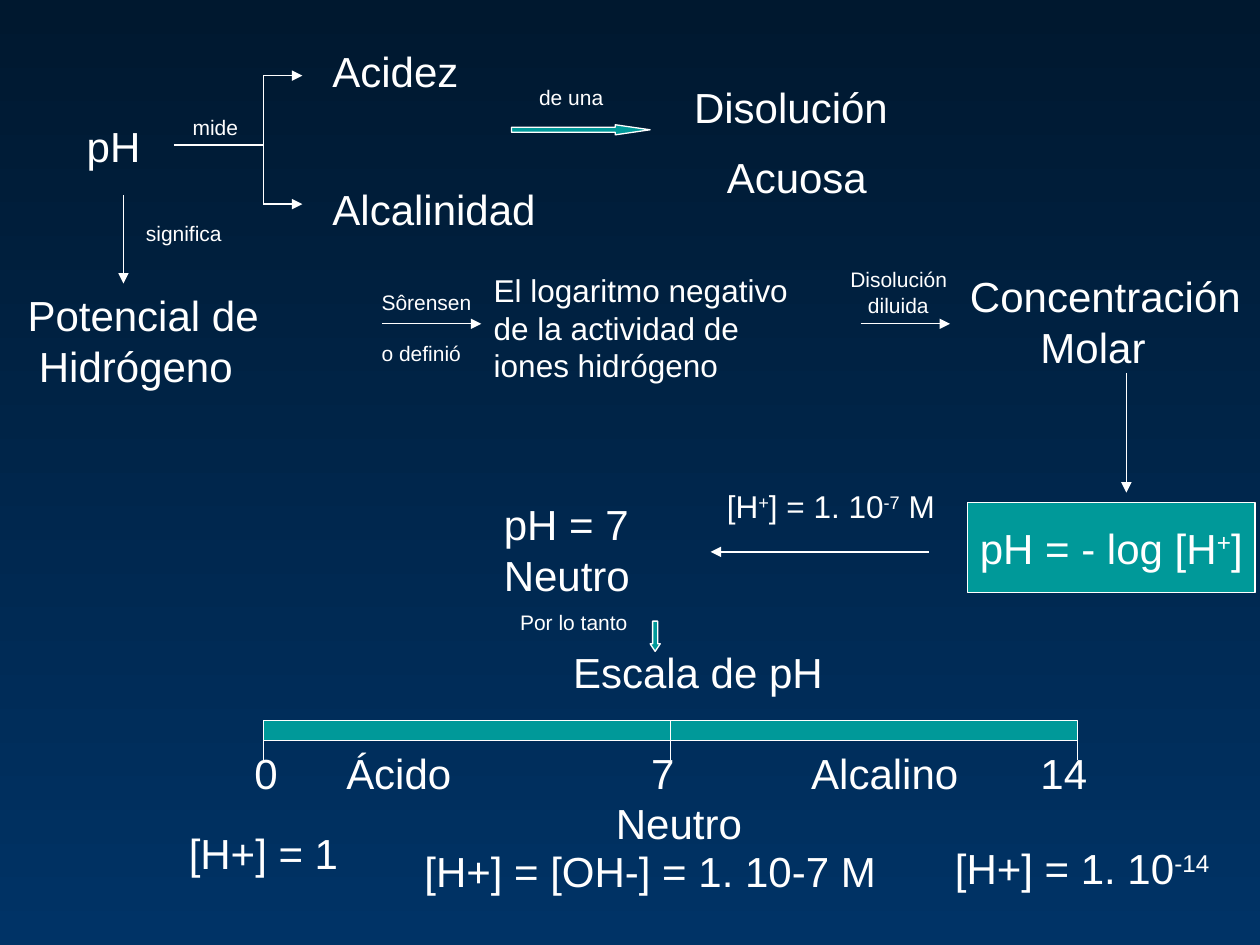
from lxml.etree import SubElement
from pptx import Presentation
from pptx.dml.color import RGBColor
from pptx.enum.shapes import MSO_CONNECTOR, MSO_SHAPE
from pptx.enum.text import MSO_ANCHOR, PP_ALIGN
from pptx.oxml.ns import qn
from pptx.util import Inches, Pt

COLORS = {"night": "00182F", "navy": "003366", "teal": "009999", "white": "FFFFFF"}
FONT = "Arial"
COLUMNS, ROWS = 10, 7.5
CELL = Inches(1)
BIG, MEDIUM, SMALL = 24, 18, 12

# column, row, columns wide, size, lines with ^raised^ parts, space between in points, later indent
LABELS = [
    (0.59, 0.91, 0.8, BIG, ["pH"], 0, 0),
    (1.43, 0.86, 0.65, SMALL, ["mide"], 0, 0),
    (2.54, 0.31, 1.4, BIG, ["Acidez"], 0, 0),
    (2.54, 1.41, 1.95, BIG, ["Alcalinidad"], 0, 0),
    (4.18, 0.62, 0.85, SMALL, ["de una"], 0, 0),
    (5.41, 0.6, 1.95, BIG, ["Disolución", "Acuosa"], 11.2, 0.26),
    (1.06, 1.7, 0.9, SMALL, ["significa"], 0, 0),
    (0.12, 2.25, 2.15, BIG, ["Potencial de", "Hidrógeno"], 0, 0.09),
    (2.93, 2.25, 1.12, SMALL, ["Sôrensen", "o definió"], 14.4, 0),
    (3.82, 2.1, 2.75, MEDIUM,
     ["El logaritmo negativo", "de la actividad de", "iones hidrógeno"], 0, 0),
    (6.65, 2.07, 1.05, SMALL, ["Disolución", "diluida"], 0, 0.14),
    (7.6, 2.1, 2.4, BIG, ["Concentración", "Molar"], 0, 0.56),
    (5.67, 3.82, 1.95, MEDIUM, ["[H^+^] = 1. 10^-7^ M"], 0, 0),
    (3.9, 3.91, 1.75, BIG, ["pH = 7", "Neutro"], 0, 0),
    (4.03, 4.79, 1.1, SMALL, ["Por lo tanto"], 0, 0),
    (4.45, 5.08, 2.3, BIG, ["Escala de pH"], 0, 0),
    (4.79, 6.28, 1.3, BIG, ["Neutro"], 0, 0),
    (3.27, 6.66, 3.94, BIG, ["[H+] = [OH-] = 1. 10-7 M"], 0, 0),
    (1.4, 6.52, 1.5, BIG, ["[H+] = 1"], 0, 0),
    (7.48, 6.64, 2.35, BIG, ["[H+] = 1. 10^-14^"], 0, 0),
]
SCALE_ROW = 5.88
SCALE_MARKS = [("0", 1.92), ("Ácido", 2.65), ("7", 5.07), ("Alcalino", 6.34), ("14", 8.16)]
SCALE_BAR = (2.09, 5.72, 6.46, 0.16)
TICK = 0.31
FORMULA, FORMULA_AREA = "pH = - log [H^+^]", (7.68, 3.99, 2.28, 0.71)
BLOCK_ARROWS = [
    (MSO_SHAPE.RIGHT_ARROW, (4.06, 0.99, 1.1, 0.08), 3.45),
    (MSO_SHAPE.DOWN_ARROW, (5.16, 4.93, 0.08, 0.24), 0.75),
]
STEMS = [(1.38, 1.15, 2.09, 1.15), (2.09, 0.6, 2.09, 1.62)]
ARROWS = [
    (2.09, 0.6, 2.4, 0.6),
    (2.09, 1.62, 2.4, 1.62),
    (0.98, 1.55, 0.98, 2.25),
    (3.03, 2.57, 3.82, 2.57),
    (6.83, 2.57, 7.54, 2.57),
    (8.94, 2.96, 8.94, 3.91),
    (7.37, 4.38, 5.64, 4.38),
]


def color(name):
    return RGBColor.from_string(COLORS[name])


def grid(*lengths):
    return [round(length * CELL) for length in lengths]


def write(paragraph, line, size):
    for position, part in enumerate(line.split("^")):
        if not part:
            continue
        run = paragraph.add_run()
        run.text = part
        run.font.name, run.font.size = FONT, Pt(size)
        run.font.color.rgb = color("white")
        if position % 2:
            run.font._element.set("baseline", "30000")


def add_label(slide, column, row, width, size, lines, gap=0, indent=0):
    height = 0.1 + (len(lines) * size * 1.2 + (len(lines) - 1) * gap) / 72
    frame = slide.shapes.add_textbox(*grid(column, row, width, height)).text_frame
    frame.word_wrap = True
    for number, line in enumerate(lines):
        paragraph = frame.add_paragraph() if number else frame.paragraphs[0]
        if number:
            paragraph.space_before = Pt(gap)
            paragraph._p.get_or_add_pPr().set("marL", str(Inches(indent)))
        write(paragraph, line, size)


def add_block(slide, kind, area):
    block = slide.shapes.add_shape(kind, *grid(*area))
    block.shadow.inherit = False
    block.fill.solid()
    block.fill.fore_color.rgb = color("teal")
    block.line.color.rgb = color("white")
    block.line.width = Pt(0.75)
    return block


def add_line(slide, ends, arrow=False):
    line = slide.shapes.add_connector(MSO_CONNECTOR.STRAIGHT, *grid(*ends))
    line.line.color.rgb = color("white")
    line.line.width = Pt(0.75)
    if arrow:
        SubElement(line.line._get_or_add_ln(), qn("a:tailEnd"), type="triangle")
    SubElement(line._element.spPr, qn("a:effectLst"))
    return line


def main():
    deck = Presentation()
    deck.slide_width, deck.slide_height = grid(COLUMNS, ROWS)
    slide = deck.slides.add_slide(deck.slide_layouts[6])
    backdrop = slide.background.fill
    backdrop.gradient()
    backdrop.gradient_angle = 270
    for stop, name in zip(backdrop.gradient_stops, ("night", "navy")):
        stop.color.rgb = color(name)

    for stem in STEMS:
        add_line(slide, stem)
    for arrow in ARROWS:
        add_line(slide, arrow, arrow=True)
    for kind, area, head in BLOCK_ARROWS:
        add_block(slide, kind, area).adjustments[1] = head

    formula = add_block(slide, MSO_SHAPE.RECTANGLE, FORMULA_AREA).text_frame
    formula.word_wrap = False
    formula.vertical_anchor = MSO_ANCHOR.MIDDLE
    formula.paragraphs[0].alignment = PP_ALIGN.CENTER
    write(formula.paragraphs[0], FORMULA, BIG)

    scale = add_block(slide, MSO_SHAPE.RECTANGLE, SCALE_BAR)
    left, top, width, _ = SCALE_BAR
    for share in (0, 0.5, 1):
        x = left + share * width
        tick = add_line(slide, (x, top, x, top + TICK))
        if share == 0.5:
            tick.begin_connect(scale, 0)

    for label in LABELS:
        add_label(slide, *label)
    for mark, column in SCALE_MARKS:
        add_label(slide, column, SCALE_ROW, 0.4 + 0.2 * len(mark), BIG, [mark])
    deck.save("out.pptx")


if __name__ == "__main__":
    main()
